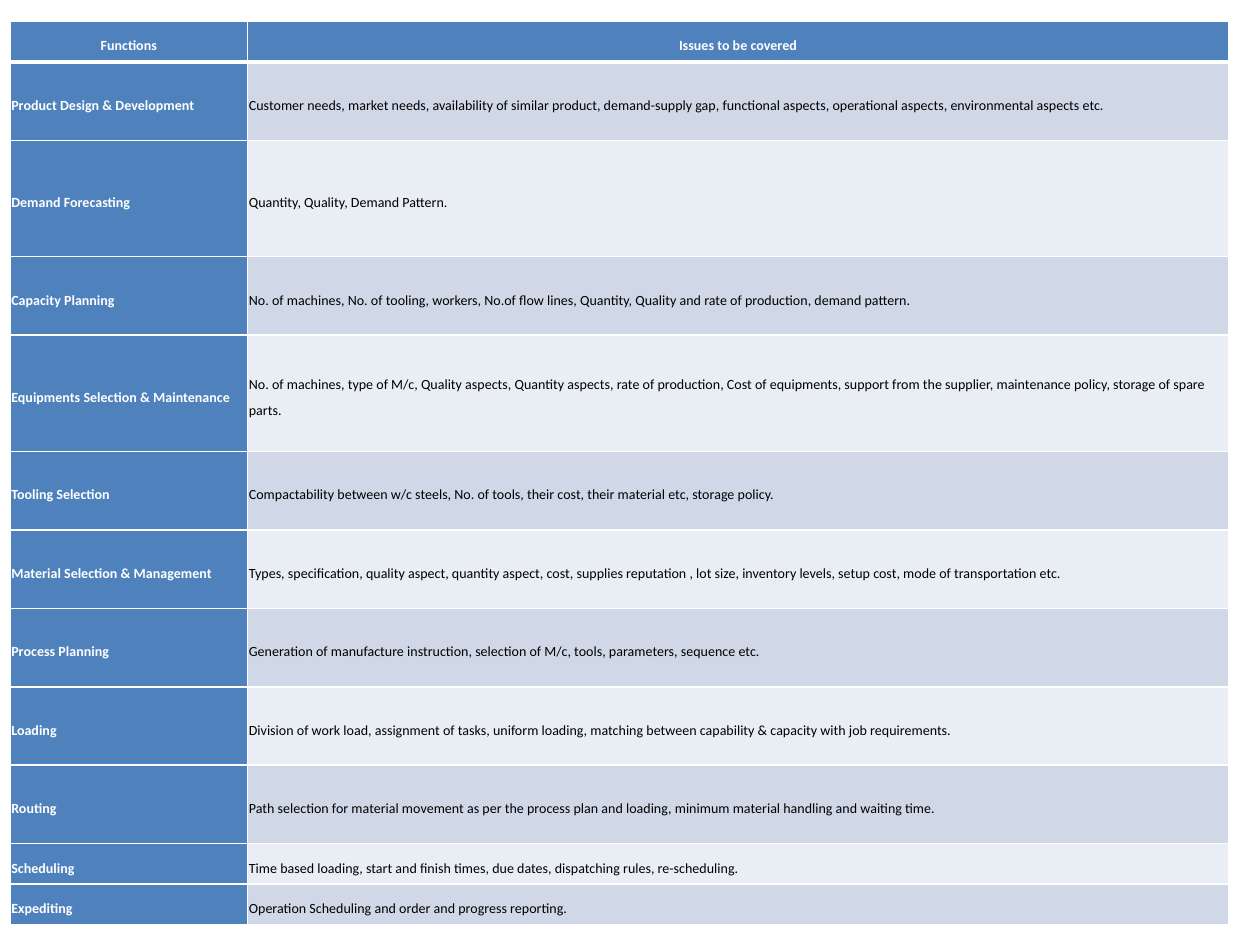
from lxml import etree
from pptx import Presentation
from pptx.dml.color import RGBColor
from pptx.enum.text import MSO_ANCHOR, PP_ALIGN
from pptx.oxml.ns import qn
from pptx.util import Inches, Pt

BLUE = RGBColor(0x4F, 0x81, 0xBD)
BANDS = (RGBColor(0xD0, 0xD8, 0xE8), RGBColor(0xE9, 0xED, 0xF4))
WHITE = RGBColor(0xFF, 0xFF, 0xFF)
BLACK = RGBColor(0, 0, 0)

SHORT, MEDIUM, TALL = 0.32, 0.62, 0.92
COLUMN_SHARES = (0.195, 0.805)
HEADER = ("Functions", "Issues to be covered")
FUNCTIONS = [
    (MEDIUM, "Product Design & Development",
     "Customer needs, market needs, availability of similar product, demand-supply gap, "
     "functional aspects, operational aspects, environmental aspects etc."),
    (TALL, "Demand Forecasting", "Quantity, Quality, Demand Pattern."),
    (MEDIUM, "Capacity Planning",
     "No. of machines, No. of tooling, workers, No.of flow lines, Quantity, Quality and "
     "rate of production, demand pattern."),
    (TALL, "Equipments Selection & Maintenance",
     "No. of machines, type of M/c, Quality aspects, Quantity aspects, rate of production, "
     "Cost of equipments, support from the supplier, maintenance policy, storage of spare parts."),
    (MEDIUM, "Tooling Selection",
     "Compactability between w/c steels, No. of tools, their cost, their material etc, "
     "storage policy."),
    (MEDIUM, "Material Selection & Management",
     "Types, specification, quality aspect, quantity aspect, cost, supplies reputation , "
     "lot size, inventory levels, setup cost, mode of transportation etc."),
    (MEDIUM, "Process Planning",
     "Generation of manufacture instruction, selection of M/c, tools, parameters, sequence etc."),
    (MEDIUM, "Loading",
     "Division of work load, assignment of tasks, uniform loading, matching between "
     "capability & capacity with job requirements."),
    (MEDIUM, "Routing",
     "Path selection for material movement as per the process plan and loading, minimum "
     "material handling and waiting time."),
    (SHORT, "Scheduling",
     "Time based loading, start and finish times, due dates, dispatching rules, re-scheduling."),
    (SHORT, "Expediting", "Operation Scheduling and order and progress reporting."),
]


def set_borders(cell, widths):
    """Draw white borders with the given widths in points, keyed by side."""
    properties = cell._tc.get_or_add_tcPr()
    for side in "LRTB":
        line = etree.SubElement(properties, qn(f"a:ln{side}"), w=str(Pt(widths[side])))
        fill = etree.SubElement(line, qn("a:solidFill"))
        etree.SubElement(fill, qn("a:srgbClr"), val=str(WHITE))


def fill_cell(cell, text, fill, color, bold, align, top=1, bottom=1):
    """Write and format one table cell."""
    set_borders(cell, {"L": 1, "R": 1, "T": top, "B": bottom})
    cell.fill.solid()
    cell.fill.fore_color.rgb = fill
    cell.vertical_anchor = MSO_ANCHOR.MIDDLE
    cell.margin_left = cell.margin_right = Inches(0.01)
    cell.margin_top = cell.margin_bottom = Inches(0.01)
    paragraph = cell.text_frame.paragraphs[0]
    paragraph.alignment = align
    paragraph.line_spacing = 1.5
    run = paragraph.add_run()
    run.text = text
    run.font.name = "Calibri"
    run.font.size = Pt(8)
    run.font.bold = bold
    run.font.color.rgb = color


def add_functions_table(slide, left, top, width, height):
    """Place the table of functions and issues in the given box."""
    table = slide.shapes.add_table(
        len(FUNCTIONS) + 1, len(HEADER), left, top, width, height).table
    for column, share in zip(table.columns, COLUMN_SHARES):
        column.width = int(width * share)
    weights = [SHORT] + [weight for weight, _, _ in FUNCTIONS]
    for row, weight in zip(table.rows, weights):
        row.height = int(height * weight / sum(weights))
    for column, heading in enumerate(HEADER):
        fill_cell(table.cell(0, column), heading, BLUE, WHITE, True, PP_ALIGN.CENTER, bottom=3)
    for index, (_, function, issues) in enumerate(FUNCTIONS):
        row, border = index + 1, 3 if index == 0 else 1
        fill_cell(table.cell(row, 0), function, BLUE, WHITE, True, PP_ALIGN.LEFT, top=border)
        fill_cell(table.cell(row, 1), issues, BANDS[index % 2], BLACK, False,
                  PP_ALIGN.LEFT, top=border)


def main():
    """Build and save the slide."""
    deck = Presentation()
    deck.slide_width, deck.slide_height = Inches(10), Inches(7.5)
    slide = deck.slides.add_slide(deck.slide_layouts[6])
    add_functions_table(slide, Inches(0.08), Inches(0.17), Inches(9.67), Inches(7.17))
    deck.save("out.pptx")


main()
